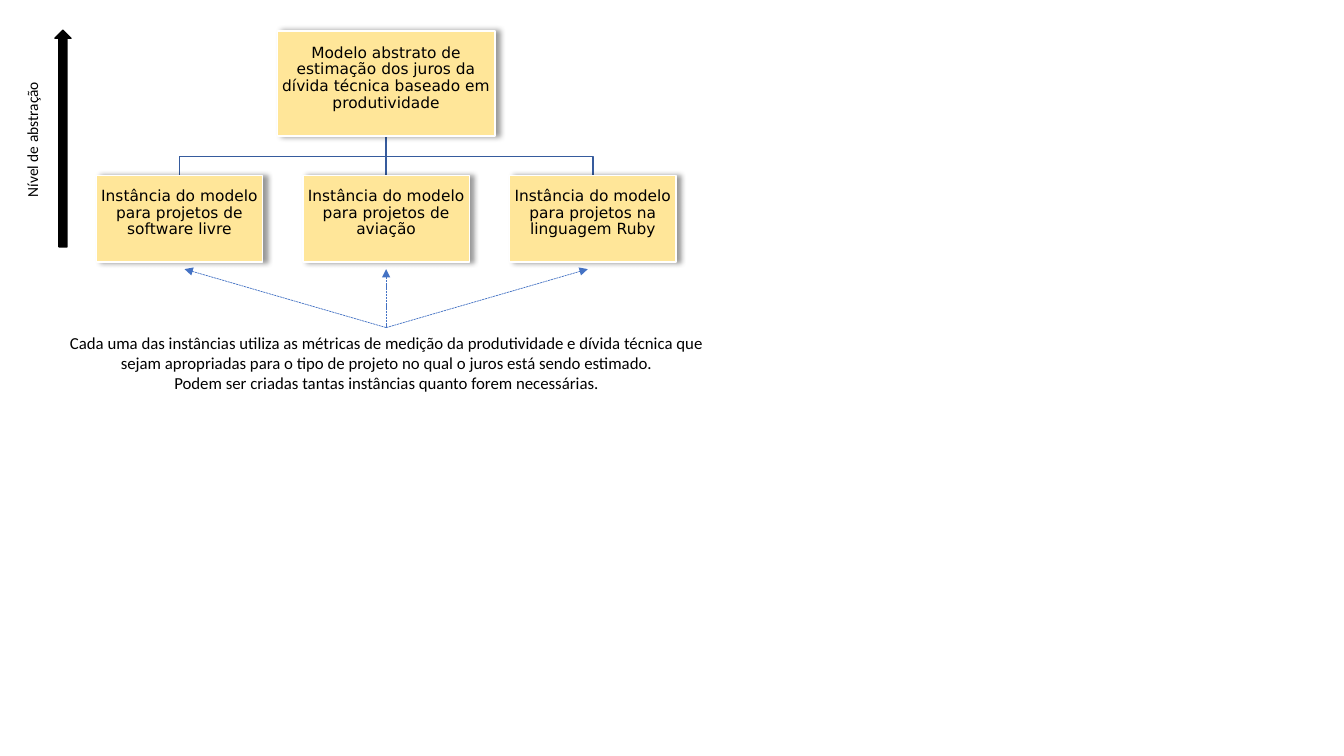
from dataclasses import dataclass
from lxml import etree
from pptx import Presentation
from pptx.dml.color import RGBColor
from pptx.enum.dml import MSO_LINE
from pptx.enum.shapes import MSO_CONNECTOR, MSO_SHAPE
from pptx.enum.text import MSO_ANCHOR, PP_ALIGN
from pptx.oxml import parse_xml
from pptx.oxml.ns import nsdecls, qn
from pptx.util import Inches, Pt

RECT, UP = MSO_SHAPE.RECTANGLE, MSO_SHAPE.UP_ARROW
STRAIGHT = MSO_CONNECTOR.STRAIGHT
DASH = MSO_LINE.SQUARE_DOT
MIDDLE, TOP = MSO_ANCHOR.MIDDLE, MSO_ANCHOR.TOP
CENTER, LEFT = PP_ALIGN.CENTER, PP_ALIGN.LEFT
ROWS = 75


@dataclass(frozen=True)
class Theme:
    """Colours, fonts and type sizes of the slide."""
    card: str = "FFE699"
    edge: str = "FFFFFF"
    ink: str = "000000"
    tree: str = "365B9D"
    link: str = "4472C4"
    box_font: str = "DejaVu Sans"
    font: str = "Calibri"
    small: int = 11
    body: int = 12


class Board:
    """Draws elements on one slide, measured in square grid cells."""

    def __init__(self, deck, theme):
        self.theme = theme
        self.cell = deck.slide_height / ROWS
        self.shapes = deck.slides.add_slide(deck.slide_layouts[6]).shapes

    def grid(self, *cells):
        return [round(n * self.cell) for n in cells]

    def stroke(self, line, color, width=1):
        line.color.rgb = RGBColor.from_string(color)
        line.width = Pt(width)

    def label(self, shape, paras, font, size, align=CENTER, space=1.0):
        frame = shape.text_frame
        frame.text = "\n".join(paras)
        for para in frame.paragraphs:
            para.alignment, para.line_spacing = align, space
            para.font.name, para.font.size = font, Pt(size)
            para.font.color.rgb = RGBColor.from_string(self.theme.ink)
        return frame

    def solid(self, kind, place, fill, edge):
        shape = self.shapes.add_shape(kind, *self.grid(*place))
        shape.shadow.inherit = False
        shape.fill.solid()
        shape.fill.fore_color.rgb = RGBColor.from_string(fill)
        self.stroke(shape.line, edge)
        return shape

    def card(self, text, mid, top, wide, high):
        look = self.theme
        shape = self.solid(RECT, (mid - wide / 2, top, wide, high), look.card, look.edge)
        glow = shape._element.spPr.find(qn("a:effectLst"))
        glow.append(parse_xml(
            f'<a:outerShdw {nsdecls("a")} blurRad="{Pt(4)}" dist="{Pt(3)}" dir="0">'
            f'<a:srgbClr val="{look.ink}"><a:alpha val="40000"/></a:srgbClr></a:outerShdw>'))
        frame = self.label(shape, [text], look.box_font, look.small, space=0.9)
        frame.word_wrap, frame.vertical_anchor = True, MIDDLE
        frame.margin_left = frame.margin_right = frame.margin_top = Inches(0.01)
        frame.margin_bottom = Inches(0.12)

    def text(self, paras, place, size, align=CENTER, wrap=True, turn=0):
        shape = self.shapes.add_textbox(*self.grid(*place))
        shape.rotation = turn
        frame = self.label(shape, paras, self.theme.font, size, align)
        frame.word_wrap, frame.vertical_anchor = wrap, TOP

    def line(self, start, end, color, width=1, arrow=False):
        link = self.shapes.add_connector(STRAIGHT, *self.grid(*start, *end))
        self.stroke(link.line, color, width)
        props = link._element.spPr
        if arrow:
            link.line.dash_style = DASH
            etree.SubElement(props.find(qn("a:ln")), qn("a:tailEnd"), type="triangle")
        etree.SubElement(props, qn("a:effectLst"))

    def elbow(self, points, color):
        first, *rest = [self.grid(*point) for point in points]
        pen = self.shapes.build_freeform(*first)
        pen.add_line_segments(rest, close=False)
        shape = pen.convert_to_shape()
        shape.shadow.inherit = False
        shape.fill.background()
        self.stroke(shape.line, color)


deck = Presentation()
deck.slide_width, deck.slide_height = Inches(13.33), Inches(7.5)
theme = Theme()
board = Board(deck, theme)

MID, STEP, REACH = 38.3, 20.5, 20
ROOT, ROOT_W, ROOT_H = 3.1, 21.6, 10.4
CHILD, CHILD_W, CHILD_H = 17.4, 16.5, 8.6
BASE, FORK, TIP, NOTE = ROOT + ROOT_H, 15.5, 26.7, 32.5
KINDS = {-1: "para projetos de software livre",
         0: "para projetos de aviação",
         1: "para projetos na linguagem Ruby"}

for side in KINDS:
    x = MID + side * STEP
    if side:
        board.elbow([(MID, BASE), (MID, FORK), (x, FORK), (x, CHILD)], theme.tree)
    else:
        board.line((MID, BASE), (MID, CHILD), theme.tree)

board.card("Modelo abstrato de estimação dos juros da dívida técnica baseado em "
           "produtividade", MID, ROOT, ROOT_W, ROOT_H)
for side, kind in KINDS.items():
    board.card(f"Instância do modelo {kind}", MID + side * STEP, CHILD, CHILD_W, CHILD_H)

board.text(["Cada uma das instâncias utiliza as métricas de medição da produtividade e "
            "dívida técnica que sejam apropriadas para o tipo de projeto no qual o juros "
            "está sendo estimado.",
            "Podem ser criadas tantas instâncias quanto forem necessárias."],
           (4.9, NOTE, 66.9, 7.1), theme.body)
for side in KINDS:
    board.line((MID, NOTE), (MID + side * REACH, TIP), theme.link, 0.5, arrow=True)

board.solid(UP, (5.45, 3, 1.6, 21.5), theme.ink, theme.ink)
board.text(["Nível de abstração"], (-3.6, 12.3, 13.6, 2.9), theme.small, LEFT,
           wrap=False, turn=270)
deck.save("out.pptx")
